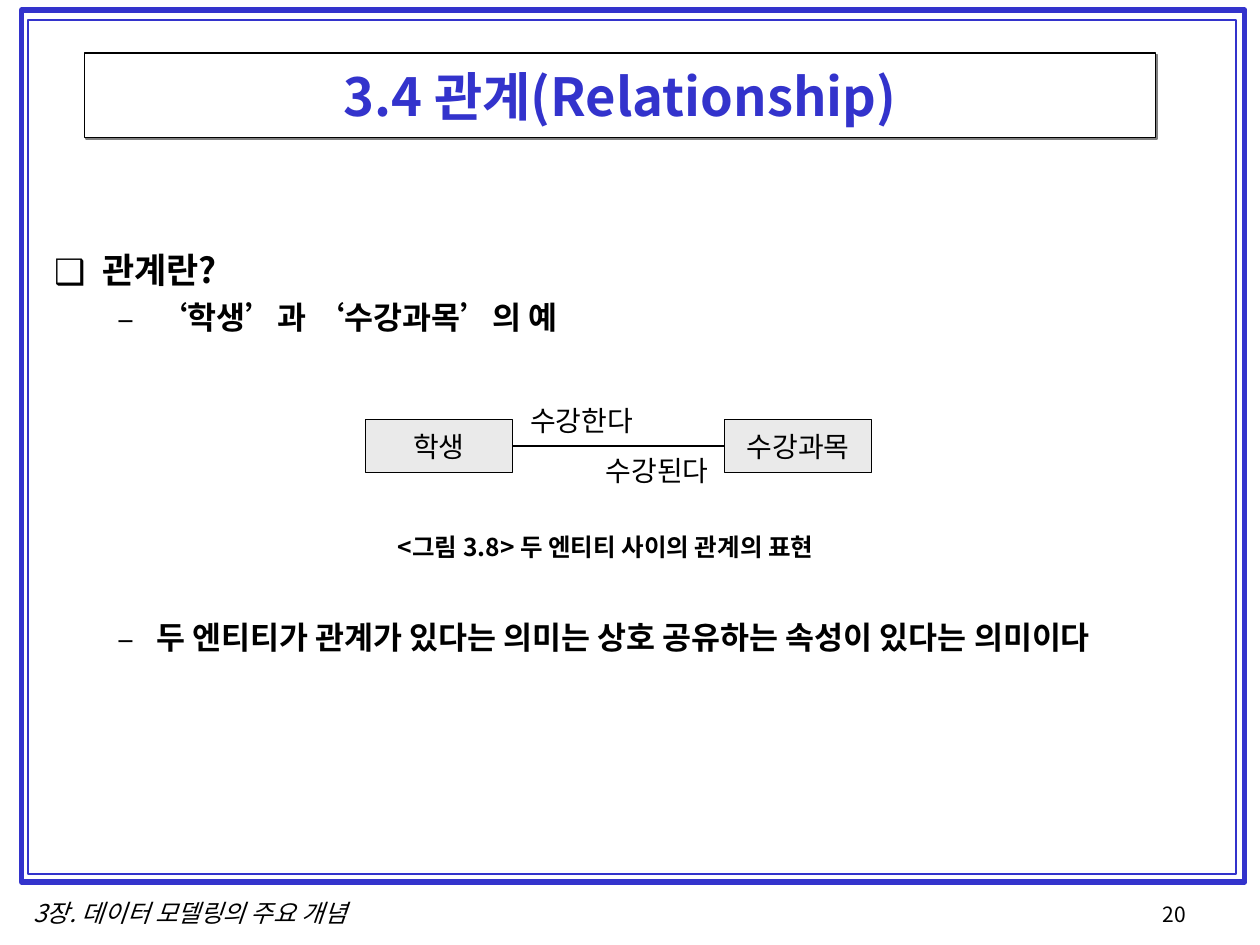
from typing import NamedTuple

from lxml import etree
from pptx import Presentation
from pptx.dml.color import RGBColor
from pptx.enum import shapes, text
from pptx.oxml.ns import qn
from pptx.util import Inches, Pt

SANS, SERIF = "Noto Sans CJK KR", "Times New Roman"
BLUE, BLACK, GRAY = "3333CC", "000000", "EAEAEA"
ALIGN, ANCHOR = text.PP_ALIGN, text.MSO_ANCHOR


class Box(NamedTuple):
    left: float
    top: float
    width: float
    height: float


class Label(NamedTuple):
    words: str
    box: Box
    font: dict
    align: ALIGN = ALIGN.LEFT


class Bullet(NamedTuple):
    runs: list
    char: str
    level: int
    margin: float
    hanging: float
    size: int
    before: float


def rgb(color: str) -> RGBColor:
    return RGBColor.from_string(color)


def lengths(box: Box) -> list:
    return [Inches(value) for value in box]


def place(shape, box: Box) -> None:
    for side, value in zip(Box._fields, lengths(box)):
        setattr(shape, side, value)


def add_run(paragraph, words: str, face: str, size: int, color: str = BLACK, **style) -> None:
    run = paragraph.add_run()
    run.text = words
    for key, value in {"name": face, "size": Pt(size), **style}.items():
        setattr(run.font, key, value)
    run.font.color.rgb = rgb(color)
    # Hangul is always set in the sans face
    latin = run.font._element.find(qn("a:latin"))
    latin.addnext(etree.Element(qn("a:ea"), typeface=SANS))


def set_outline(shape, color: str, width: float) -> None:
    shape.line.color.rgb = rgb(color)
    shape.line.width = Pt(width)


def add_rectangle(slide, box: Box, line: str, width: float, fill: str = ""):
    rectangle = slide.shapes.add_shape(shapes.MSO_SHAPE.RECTANGLE, *lengths(box))
    rectangle.shadow.inherit = False
    set_outline(rectangle, line, width)
    if fill:
        rectangle.fill.solid()
        rectangle.fill.fore_color.rgb = rgb(fill)
    else:
        rectangle.fill.background()
    return rectangle


def add_entity(slide, name: str, box: Box):
    entity = add_rectangle(slide, box, BLACK, 0.75, GRAY)
    entity.text_frame.word_wrap = False
    entity.text_frame.vertical_anchor = ANCHOR.MIDDLE
    paragraph = entity.text_frame.paragraphs[0]
    paragraph.alignment = ALIGN.CENTER
    add_run(paragraph, name, SERIF, 16)
    return entity


def add_label(slide, label: Label) -> None:
    frame = slide.shapes.add_textbox(*lengths(label.box)).text_frame
    frame.word_wrap = True
    frame.paragraphs[0].alignment = label.align
    add_run(frame.paragraphs[0], label.words, **label.font)


def add_bullet(paragraph, bullet: Bullet) -> None:
    properties = paragraph._p.get_or_add_pPr()
    properties.set("marL", str(Inches(bullet.margin)))
    properties.set("indent", str(-Inches(bullet.hanging)))
    color = etree.SubElement(properties, qn("a:buClr"))
    etree.SubElement(color, qn("a:srgbClr"), val=BLACK)
    etree.SubElement(properties, qn("a:buFont"), typeface=SANS)
    etree.SubElement(properties, qn("a:buChar"), char=bullet.char)
    paragraph.level = bullet.level
    paragraph.space_before = Pt(bullet.before)
    for words, face in bullet.runs:
        add_run(paragraph, words, face, bullet.size, bold=True)


def add_title_shadow(title) -> None:
    effects = etree.SubElement(title._element.spPr, qn("a:effectLst"))
    shadow = etree.SubElement(effects, qn("a:outerShdw"), dist=str(Pt(1.4)),
                              dir="2700000", algn="ctr", rotWithShape="0")
    etree.SubElement(shadow, qn("a:srgbClr"), val="808080")


FRAMES = [(Box(0.17, 0.08, 9.71, 6.92), 3), (Box(0.22, 0.16, 9.59, 6.78), 1)]

DASH = {"char": "–", "level": 1, "margin": 0.81, "hanging": 0.31, "size": 18}
BULLETS = [
    Bullet([("관계란?", SANS)], "❑", 0, 0.38, 0.38, 20, 0),
    Bullet([("‘", SERIF), ("학생", SANS), ("’", SERIF), ("과 ", SANS),
            ("‘", SERIF), ("수강과목", SANS), ("’", SERIF), ("의 예", SANS)],
           before=4.5, **DASH),
    # The wide gap leaves room for the diagram
    Bullet([("두 엔티티가 관계가 있다는 의미는 상호 공유하는 속성이 있다는 의미이다", SANS)],
           before=161, **DASH),
]

RELATION = {"face": SERIF, "size": 16}
LABELS = [
    Label("수강한다", Box(4.11, 3.15, 1.15, 0.37), RELATION),
    Label("수강된다", Box(4.71, 3.55, 1.15, 0.37), RELATION),
    Label("<그림 3.8> 두 엔티티 사이의 관계의 표현", Box(3.06, 4.17, 3.6, 0.34),
          {"face": SANS, "size": 14, "bold": True}),
    Label("3장. 데이터 모델링의 주요 개념", Box(0.01, 7.08, 3, 0.34),
          {"face": SANS, "size": 14, "italic": True}, ALIGN.CENTER),
    Label("20", Box(9.13, 7.11, 0.8, 0.33), {"face": SANS, "size": 12}),
]


def main() -> None:
    deck = Presentation()
    deck.slide_width, deck.slide_height = Inches(10), Inches(7.5)
    slide = deck.slides.add_slide(deck.slide_layouts[1])

    # Double page frame
    for box, width in FRAMES:
        add_rectangle(slide, box, BLUE, width)

    # Title
    title = slide.shapes.title
    place(title, Box(0.67, 0.42, 8.5, 0.67))
    title.fill.solid()
    title.fill.fore_color.rgb = rgb("FFFFFF")
    set_outline(title, BLACK, 0.75)
    add_title_shadow(title)
    title.text_frame.auto_size = text.MSO_AUTO_SIZE.NONE
    title.text_frame.vertical_anchor = ANCHOR.MIDDLE
    heading = title.text_frame.paragraphs[0]
    heading.alignment = ALIGN.CENTER
    add_run(heading, "3.4 관계(Relationship)", SANS, 30, BLUE, bold=True)

    # Bullet list
    body = slide.placeholders[1]
    place(body, Box(0.33, 1.92, 9.33, 4.83))
    body.text_frame.auto_size = text.MSO_AUTO_SIZE.NONE
    for index, bullet in enumerate(BULLETS):
        frame = body.text_frame
        add_bullet(frame.add_paragraph() if index else frame.paragraphs[0], bullet)

    # Entities and their relationship
    student = add_entity(slide, "학생", Box(2.9, 3.33, 1.17, 0.42))
    course = add_entity(slide, "수강과목", Box(5.75, 3.33, 1.17, 0.42))
    relationship = slide.shapes.add_connector(shapes.MSO_CONNECTOR.STRAIGHT, 0, 0, 0, 0)
    relationship.begin_connect(student, 3)
    relationship.end_connect(course, 1)
    set_outline(relationship, BLACK, 0.75)
    etree.SubElement(relationship._element.spPr, qn("a:effectLst"))

    # Relationship names, caption and footer
    for label in LABELS:
        add_label(slide, label)

    deck.save("out.pptx")


if __name__ == "__main__":
    main()
